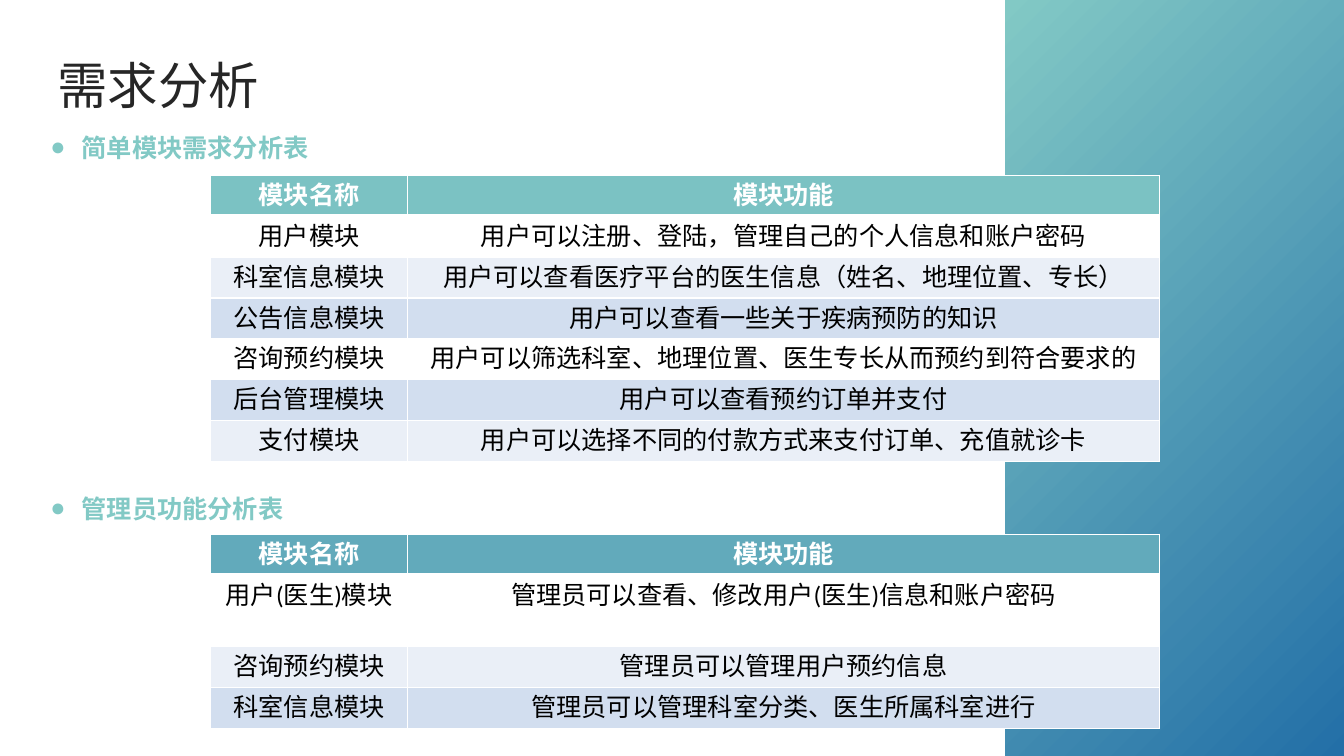
from dataclasses import dataclass

from lxml import etree
from pptx import Presentation
from pptx.dml.color import RGBColor
from pptx.enum import shapes, text
from pptx.oxml import ns
from pptx.util import Inches, Pt


@dataclass(frozen=True)
class Theme:
    cjk: str = "Noto Sans CJK SC"
    latin: str = "Calibri"
    ink: str = "262626"
    black: str = "000000"
    white: str = "FFFFFF"
    mint: str = "82C9C5"
    navy: str = "236FA7"
    teal: str = "7BC2C3"
    sea: str = "62AABB"
    pale: str = "EAEFF7"
    blue: str = "D2DEEF"
    title: int = 36
    body: int = 18


@dataclass(frozen=True)
class Row:
    name: str
    role: str
    fill: str


@dataclass(frozen=True)
class Section:
    head: str
    top: float
    width: float
    grid: float
    fill: str
    rows: tuple[Row, ...]


T = Theme()
LEFT = 0.47
COLS = (1.95, 7.46)
ROW = 0.4

SECTIONS = (
    Section("简单模块需求分析表", 1.26, 2.64, 1.74, T.teal, (
        Row("用户模块", "用户可以注册、登陆，管理自己的个人信息和账户密码", T.white),
        Row("科室信息模块", "用户可以查看医疗平台的医生信息（姓名、地理位置、专长）", T.pale),
        Row("公告信息模块", "用户可以查看一些关于疾病预防的知识", T.blue),
        Row("咨询预约模块", "用户可以筛选科室、地理位置、医生专长从而预约到符合要求的", T.white),
        Row("后台管理模块", "用户可以查看预约订单并支付", T.blue),
        Row("支付模块", "用户可以选择不同的付款方式来支付订单、充值就诊卡", T.pale),
    )),
    Section("管理员功能分析表", 4.84, 2.39, 5.3, T.sea, (
        Row("用户(医生)模块", "管理员可以查看、修改用户(医生)信息和账户密码", T.white),
        Row("咨询预约模块", "管理员可以管理用户预约信息", T.pale),
        Row("科室信息模块", "管理员可以管理科室分类、医生所属科室进行", T.blue),
    )),
)


def add(parent, tag: str, **attrs: str):
    return etree.SubElement(parent, ns.qn(tag), attrs)


def write(frame, words: str, *, size: int, color: str, bold: bool = False,
          font: str = T.latin, align=text.PP_ALIGN.LEFT, bullet: str = "") -> None:
    """Fill the first paragraph of a text frame."""
    para = frame.paragraphs[0]
    para.alignment = align
    para.space_before = Pt(0)
    if bullet:
        props = para._p.get_or_add_pPr()
        props.set("marL", str(Inches(0.31)))
        props.set("indent", str(-Inches(0.31)))
        add(props, "a:buFont", typeface="Arial")
        add(props, "a:buChar", char=bullet)
    run = para.add_run()
    run.text = words
    run.font.size = Pt(size)
    run.font.bold = bold
    run.font.name = font
    run.font.color.rgb = RGBColor.from_string(color)
    add(run._r.get_or_add_rPr(), "a:ea", typeface=font)


def place(holder, left: float, top: float, width: float, height: float,
          inset: float) -> None:
    """Move a placeholder and give it one unwrapped line."""
    holder.left, holder.top = Inches(left), Inches(top)
    holder.width, holder.height = Inches(width), Inches(height)
    frame = holder.text_frame
    frame.word_wrap = False
    frame.auto_size = text.MSO_AUTO_SIZE.NONE
    frame.vertical_anchor = text.MSO_ANCHOR.TOP
    frame.margin_left = frame.margin_right = Inches(inset)
    frame.margin_top = frame.margin_bottom = Inches(0.05)


def border(cell, base: float) -> None:
    """Draw white cell edges, the bottom one with its own width."""
    props = cell._tc.get_or_add_tcPr()
    for side in "LRTB":
        width = base if side == "B" else 1
        line = add(props, f"a:ln{side}", w=str(Pt(width)))
        add(add(line, "a:solidFill"), "a:srgbClr", val=T.white)


def draw_grid(slide, part: Section) -> None:
    rows = (Row("模块名称", "模块功能", part.fill), *part.rows)
    table = slide.shapes.add_table(
        len(rows), len(COLS), Inches(2.09), Inches(part.grid),
        Inches(sum(COLS)), Inches(ROW * len(rows))).table
    for col, width in zip(table.columns, COLS):
        col.width = Inches(width)
    for y, row in enumerate(rows):
        head = y == 0
        table.rows[y].height = Inches(ROW)
        for x, words in enumerate((row.name, row.role)):
            cell = table.cell(y, x)
            border(cell, 3 if head else 1)
            cell.fill.solid()
            cell.fill.fore_color.rgb = RGBColor.from_string(row.fill)
            write(cell.text_frame, words, size=T.body, bold=head,
                  color=T.white if head else T.black,
                  align=text.PP_ALIGN.CENTER)


def draw_side(slide) -> None:
    side = slide.shapes.add_shape(
        shapes.MSO_SHAPE.RECTANGLE, Inches(9.97), 0, Inches(3.37), Inches(7.5))
    side.shadow.inherit = False
    side.line.fill.background()
    side.fill.gradient()
    side.fill.gradient_angle = 315
    for stop, color in zip(side.fill.gradient_stops, (T.mint, T.navy)):
        stop.color.rgb = RGBColor.from_string(color)


def main() -> None:
    deck = Presentation()
    deck.slide_width, deck.slide_height = Inches(13.33), Inches(7.5)
    slide = deck.slides.add_slide(deck.slide_layouts[3])
    draw_side(slide)

    title, *heads = slide.placeholders
    place(title, LEFT, 0.49, 2.22, 0.71, 0.1)
    write(title.text_frame, "需求分析", size=T.title, color=T.ink, font=T.cjk)
    for head, part in zip(heads, SECTIONS):
        place(head, LEFT, part.top, part.width, 0.4, 0.03)
        write(head.text_frame, part.head, size=T.body, color=T.mint,
              bold=True, font=T.cjk, bullet="●")
        draw_grid(slide, part)
    deck.save("out.pptx")


if __name__ == "__main__":
    main()
